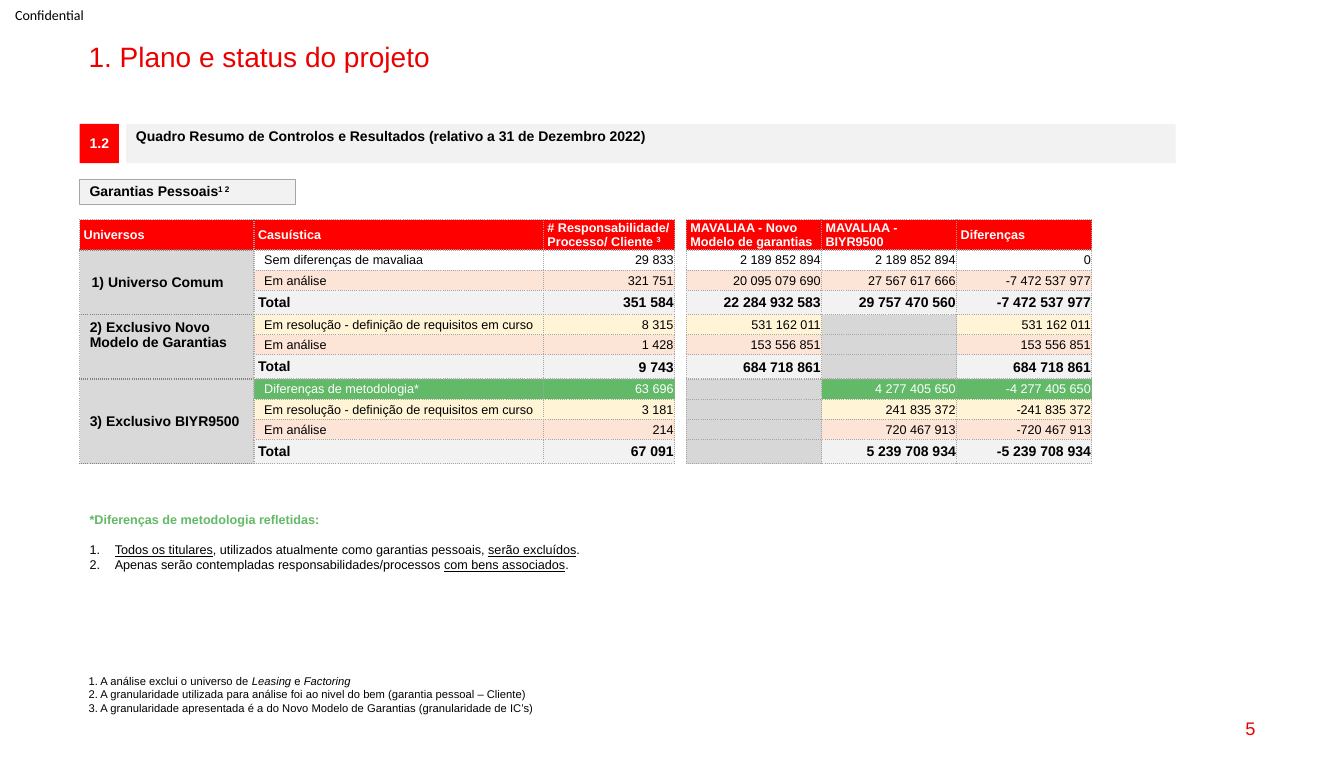
from lxml import etree
from pptx import Presentation
from pptx.dml.color import RGBColor
from pptx.enum.shapes import MSO_SHAPE
from pptx.enum.text import MSO_ANCHOR, PP_ALIGN
from pptx.oxml.ns import qn
from pptx.util import Inches, Pt

RECT = MSO_SHAPE.RECTANGLE
TOP, MID = MSO_ANCHOR.TOP, MSO_ANCHOR.MIDDLE
LEFT, MIDDLE, RIGHT = PP_ALIGN.LEFT, PP_ALIGN.CENTER, PP_ALIGN.RIGHT

RED = RGBColor(0xFF, 0x00, 0x00)
CRIMSON = RGBColor(0xEB, 0x00, 0x00)
GREEN = RGBColor(0x62, 0xB9, 0x67)
YELLOW = RGBColor(0xFF, 0xF5, 0xD6)
PEACH = RGBColor(0xFC, 0xE4, 0xD6)
PALE = RGBColor(0xF2, 0xF2, 0xF2)
GREY = RGBColor(0xD9, 0xD9, 0xD9)
VOID = RGBColor(0xD7, 0xD7, 0xD7)
EDGE = RGBColor(0xA6, 0xA6, 0xA6)
DARK = RGBColor(0x80, 0x80, 0x80)
BLACK = RGBColor(0, 0, 0)
WHITE = RGBColor(0xFF, 0xFF, 0xFF)

# A text is a list of paragraphs, a paragraph a list of (words, marks):
# b bold, i italic, u underlined, ^ superscript
TITLE = [[("1. Plano e status do projeto", "")]]
BANNER = [[("Quadro Resumo de Controlos e Resultados "
            "(relativo a 31 de Dezembro 2022)", "b")]]
TAG = [[("Garantias Pessoais", "b"), ("1 2", "b^")]]
HEADS = [
    [[("Universos", "b")]],
    [[("Casuística", "b")]],
    [[("# Responsabilidade/", "b")], [("Processo/ Cliente ", "b"), ("3", "b^")]],
    None,
    [[("MAVALIAA - Novo Modelo de garantias", "b")]],
    [[("MAVALIAA - BIYR9500", "b")]],
    [[("Diferenças", "b")]],
]
SOLVING = "Em resolução - definição de requisitos em curso"
# Group name, left margin, anchor, rows of (case, fill, count, new, old, difference)
GROUPS = [
    ("1) Universo Comum", 0.12, MID, [
        ("Sem diferenças de mavaliaa", None,
         "29 833", "2 189 852 894", "2 189 852 894", "0"),
        ("Em análise", PEACH,
         "321 751", "20 095 079 690", "27 567 617 666", "-7 472 537 977"),
        ("Total", PALE,
         "351 584", "22 284 932 583", "29 757 470 560", "-7 472 537 977")]),
    ("2) Exclusivo Novo Modelo de Garantias", 0.1, TOP, [
        (SOLVING, YELLOW, "8 315", "531 162 011", None, "531 162 011"),
        ("Em análise", PEACH, "1 428", "153 556 851", None, "153 556 851"),
        ("Total", PALE, "9 743", "684 718 861", None, "684 718 861")]),
    ("3) Exclusivo BIYR9500", 0.1, MID, [
        ("Diferenças de metodologia*", GREEN,
         "63 696", None, "4 277 405 650", "-4 277 405 650"),
        (SOLVING, YELLOW, "3 181", None, "241 835 372", "-241 835 372"),
        ("Em análise", PEACH, "214", None, "720 467 913", "-720 467 913"),
        ("Total", PALE, "67 091", None, "5 239 708 934", "-5 239 708 934")]),
]
METHOD = [[("*Diferenças de metodologia refletidas:", "b")]]
POINTS = [
    [("Todos os titulares", "u"),
     (", utilizados atualmente como garantias pessoais, ", ""),
     ("serão excluídos", "u"), (".", "")],
    [("Apenas serão contempladas responsabilidades/processos ", ""),
     ("com bens associados", "u"), (".", "")],
]
NOTES = [
    [("1. A análise exclui o universo de ", ""), ("Leasing", "i"),
     (" e ", ""), ("Factoring", "i")],
    [("2. A granularidade utilizada para análise foi ao nivel do bem "
      "(garantia pessoal – Cliente)", "")],
    [("3. A granularidade apresentada é a do Novo Modelo de Garantias "
      "(granularidade de IC’s)", "")],
]

WIDE, HIGH = 13.33, 7.76
EDGE_X = 0.79
COLS = [1.73, 2.87, 1.3, 0.11, 1.34, 1.34, 1.34]
GAP = 3
HEAD_H, ROW_H, SUM_H = 0.28, 0.2, 0.24
PAD = (0.1, 0.05, 0.1, 0.05)


def write(par, runs, size, ink, font="Arial"):
    for words, marks in runs:
        run = par.add_run()
        run.text = words
        face = run.font
        face.name, face.size, face.color.rgb = font, Pt(size), ink
        face.bold, face.italic, face.underline = (m in marks for m in "biu")
        if "^" in marks:
            run._r.get_or_add_rPr().set("baseline", "30000")


def fill_text(frame, pars, size, ink, align=LEFT, line=None, font="Arial"):
    for i, runs in enumerate(pars):
        par = frame.add_paragraph() if i else frame.paragraphs[0]
        par.alignment = align
        if line:
            par.line_spacing = line
        write(par, runs, size, ink, font)


def pad(thing, sides):
    (thing.margin_left, thing.margin_top,
     thing.margin_right, thing.margin_bottom) = map(Inches, sides)


def add_text(box, pars, size, ink, align=LEFT, anchor=TOP, line=None,
             font="Arial", sides=PAD, wrap=True):
    frame = box.text_frame
    frame.word_wrap, frame.vertical_anchor = wrap, anchor
    pad(frame, sides)
    fill_text(frame, pars, size, ink, align, line, font)
    return frame


def add_box(slide, *place):
    return slide.shapes.add_textbox(*map(Inches, place))


def add_block(slide, place, fill, edge=None):
    block = slide.shapes.add_shape(RECT, *map(Inches, place))
    block.shadow.inherit = False
    block.fill.solid()
    block.fill.fore_color.rgb = fill
    if edge:
        block.line.color.rgb, block.line.width = edge, Pt(0.75)
    else:
        block.line.fill.background()
    return block


def set_edges(cell, inks):
    """Dot the left, right, top and bottom edges; None leaves an edge off."""
    props = cell._tc.get_or_add_tcPr()
    for i, (side, ink) in enumerate(zip("LRTB", inks)):
        line = etree.Element(qn("a:ln" + side), w=str(Pt(1)))
        props.insert(i, line)
        if ink is None:
            etree.SubElement(line, qn("a:noFill"))
            continue
        solid = etree.SubElement(line, qn("a:solidFill"))
        etree.SubElement(solid, qn("a:srgbClr"), val=str(ink))
        etree.SubElement(line, qn("a:prstDash"), val="sysDot")


def set_cell(cell, pars, size, ink, fill, sides, align=LEFT, anchor=MID):
    pad(cell, sides)
    cell.vertical_anchor = anchor
    if fill is None:
        cell.fill.background()
    else:
        cell.fill.solid()
        cell.fill.fore_color.rgb = fill
    if pars:
        fill_text(cell.text_frame, pars, size, ink, align)
    else:
        par = cell.text_frame.paragraphs[0]._p
        etree.SubElement(par, qn("a:endParaRPr"), sz=str(size * 100))


def add_grid(slide):
    rows = [row for group in GROUPS for row in group[3]]
    highs = [HEAD_H] + [SUM_H if r[0] == "Total" else ROW_H for r in rows]
    place = map(Inches, (EDGE_X, 2.18, sum(COLS), sum(highs)))
    grid = slide.shapes.add_table(len(highs), len(COLS), *place).table
    grid.first_row = grid.horz_banding = False
    for col, wide in zip(grid.columns, COLS):
        col.width = Inches(wide)
    for row, high in zip(grid.rows, highs):
        row.height = Inches(high)

    snug, slim = (0.04, 0, 0.04, 0), (0.01, 0.01, 0.01, 0)
    for c, head in enumerate(HEADS):
        set_cell(grid.cell(0, c), head, 9, WHITE, RED if head else None, snug)

    for r, (case, fill, count, *sums) in enumerate(rows, 1):
        total = case == "Total"
        size, mark = (10, "b") if total else (9, "")
        ink = WHITE if fill == GREEN else BLACK
        set_cell(grid.cell(r, 1), [[(case, mark)]], size, ink, fill,
                 snug if total else (0.1, 0.01, 0.01, 0))
        set_cell(grid.cell(r, GAP), None, 9, ink, None, slim)
        for c, value in zip((2, 4, 5, 6), (count, *sums)):
            pars = [[(value, mark)]] if value else None
            set_cell(grid.cell(r, c), pars, size, ink,
                     fill if value else VOID, slim, RIGHT)

    top = 1
    for name, indent, anchor, cases in GROUPS:
        end = top + len(cases) - 1
        for r in range(top, end + 1):
            set_cell(grid.cell(r, 0), [[(name, "b")]] if r == top else None,
                     10, BLACK, GREY, (indent, 0.05, 0.1, 0.05), LEFT, anchor)
        grid.cell(top, 0).merge(grid.cell(end, 0))
        top = end + 1

    for r in range(len(highs)):
        for c in range(len(COLS)):
            flat = None if c == GAP else DARK if c == 0 and r else EDGE
            set_edges(grid.cell(r, c), (EDGE, EDGE, flat, flat))


def add_points(frame):
    for i, runs in enumerate(POINTS):
        par = frame.add_paragraph()
        props = par._p.get_or_add_pPr()
        props.set("marL", str(Inches(0.25)))
        props.set("indent", str(-Inches(0.25)))
        etree.SubElement(props, qn("a:buFont"), typeface="+mj-lt")
        etree.SubElement(props, qn("a:buAutoNum"), type="arabicPeriod")
        if i == 0:
            par.space_before = Pt(10.8)
        write(par, runs, 9, BLACK)


def main():
    deck = Presentation()
    deck.slide_width, deck.slide_height = Inches(WIDE), Inches(HIGH)
    slide = deck.slides.add_slide(deck.slide_layouts[6])

    add_text(add_box(slide, 0, 0, 0.99, 0.29), [[("Confidential", "")]], 10,
             BLACK, anchor=MID, font="Calibri", sides=(0.15, 0, 0, 0), wrap=False)
    add_text(add_box(slide, 0.78, 0.38, 11.77, 0.34), TITLE, 20, CRIMSON, line=0.9)
    add_text(add_box(slide, 9.55, 7.02, 3, 0.41), [[("5", "")]], 13, CRIMSON,
             RIGHT, MID)

    badge = add_block(slide, (EDGE_X, 1.23, 0.39, 0.39), RED)
    add_text(badge, [[("1.2", "b")]], 10, WHITE, MIDDLE, MID, 0.9, wrap=False)
    banner = add_block(slide, (1.25, 1.23, 10.41, 0.39), PALE)
    add_text(banner, BANNER, 10, BLACK, line=0.9)
    tag = add_block(slide, (EDGE_X, 1.78, 2.14, 0.25), PALE, EDGE)
    add_text(tag, TAG, 10, BLACK, anchor=MID, line=0.9)

    add_grid(slide)
    add_text(add_box(slide, 0.78, 6.64, 4.75, 0.5), NOTES, 8, BLACK, wrap=False)
    add_points(add_text(add_box(slide, EDGE_X, 5.03, 10.55, 1.5), METHOD, 9, GREEN))
    deck.save("out.pptx")


if __name__ == "__main__":
    main()
